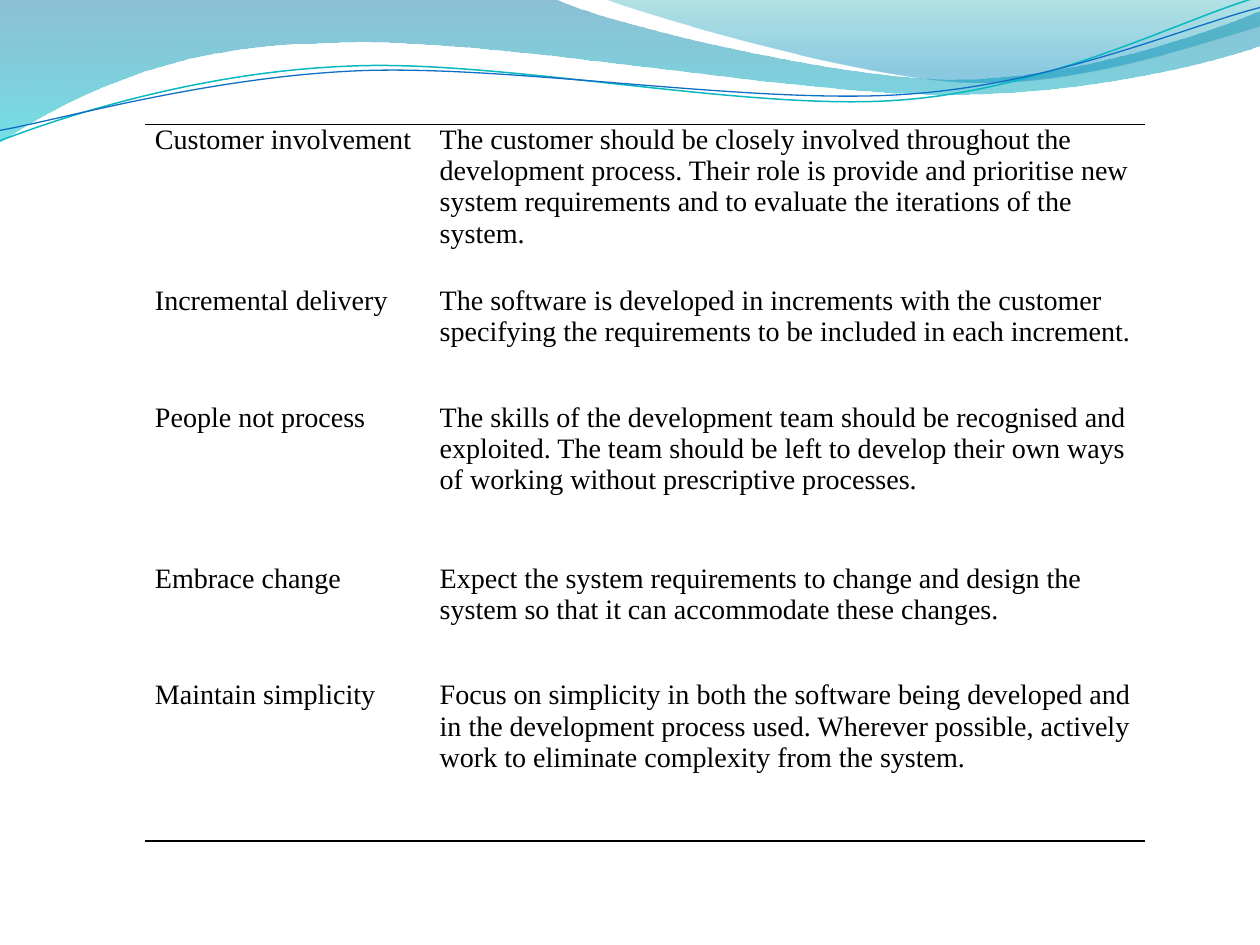
from dataclasses import dataclass
from math import cos, radians, sin
from typing import Optional

from lxml.etree import SubElement
from pptx import Presentation
from pptx.dml.color import RGBColor
from pptx.oxml import parse_xml
from pptx.oxml.ns import nsdecls, qn
from pptx.util import Inches, Pt

BLACK = RGBColor(0x00, 0x00, 0x00)
OCEAN = RGBColor(0x00, 0x74, 0xA1)
AQUA = RGBColor(0x00, 0xC6, 0xCF)
TEAL = RGBColor(0x00, 0xA1, 0xA9)
SKY = RGBColor(0x00, 0x8B, 0xBF)
TURQUOISE = RGBColor(0x0A, 0xB8, 0xBF)
BLUE = RGBColor(0x0F, 0x6F, 0xC6)

W, H = Inches(9.96), Inches(7.47)
FONT = "Times New Roman"
NO_GRID = "{2D5ABB26-0587-4C30-8999-92F81FD0307C}"
TILT = -2.7


@dataclass
class Stop:
    position: float
    color: RGBColor
    opacity: int


@dataclass
class Wave:
    start: tuple
    segments: list
    stops: Optional[list] = None
    line: Optional[RGBColor] = None
    width: float = 0
    center: Optional[tuple] = None


@dataclass
class Principle:
    name: str
    description: str
    height: float


WAVES = [
    Wave((0, 0), [
        (44, -0.1),
        (47.6, 2.3, 66.4, 8.4, 75.8, 8.4),
        (85.3, 8.4, 95.8, 3.5, 100, 1.2),
        (100.1, 4.8),
        (98.3, 5.9, 86.9, 10.2, 74.6, 10),
        (62.1, 10, 38.2, 3.7, 25.7, 4.6),
        (13, 4.7, 4.6, 11.1, -0.1, 15.1),
    ], stops=[Stop(0, OCEAN, 45), Stop(1, AQUA, 55)]),
    Wave((47.9, -0.1), [
        (50.9, 1.5, 68.2, 8.3, 76.9, 8.7),
        (85.5, 9.2, 96.1, 4.3, 100, 2.8),
        (100, 0),
    ], stops=[Stop(0, TEAL, 30), Stop(0.8, SKY, 45)]),
    Wave((0, 14.9), [
        (4.8, 12.4, 15.8, 7.6, 27.6, 7),
        (39.6, 6.2, 59.2, 11.8, 71.3, 10.6),
        (83.2, 9.5, 93.8, 2, 99.8, -0.3),
    ], line=TURQUOISE, width=0.85, center=(49.9, 7.7)),
    Wave((0, 13.8), [
        (4.7, 12.7, 16.4, 8.2, 28.3, 7.5),
        (40.3, 6.8, 59.7, 11.1, 71.7, 10),
        (83.6, 9, 94.1, 2.8, 100, 0.8),
    ], line=BLUE, width=0.75, center=(49.95, 7.9)),
]

TALL, SHORT = 17.05, 12.35
PRINCIPLES = [
    Principle("Customer involvement", "The customer should be closely involved throughout the development process. Their role is provide and prioritise new system requirements and to evaluate the iterations of the system.", TALL),
    Principle("Incremental delivery", "The software is developed in increments with the customer specifying the requirements to be included in each increment.", SHORT),
    Principle("People not process", "The skills of the development team should be recognised and exploited. The team should be left to develop their own ways of working without prescriptive processes.", TALL),
    Principle("Embrace change", "Expect the system requirements to change and design the system so that it can accommodate these changes.", SHORT),
    Principle("Maintain simplicity", "Focus on simplicity in both the software being developed and in the development process used. Wherever possible, actively work to eliminate complexity from the system.", TALL),
]
COLUMNS = (22.6, 56.8)
TABLE_LEFT, TABLE_TOP = 11.5, 13.15


def across(percent: float) -> int:
    return round(W * percent / 100)


def down(percent: float) -> int:
    return round(H * percent / 100)


def level(point: tuple, center: tuple) -> tuple:
    dx, dy = point[0] - center[0], point[1] - center[1]
    angle = radians(-TILT)
    return (round(center[0] + dx * cos(angle) - dy * sin(angle)),
            round(center[1] + dx * sin(angle) + dy * cos(angle)))


def outline(wave: Wave) -> list:
    values = [value for segment in (wave.start, *wave.segments) for value in segment]
    points = [(across(x), down(y)) for x, y in zip(values[::2], values[1::2])]
    if wave.center is None:
        return points
    center = across(wave.center[0]), down(wave.center[1])
    return [level(point, center) for point in points]


def bend(sp, segments: list) -> None:
    lines = iter(list(sp.element.iter(qn("a:lnTo"))))
    for segment in segments:
        first = next(lines)
        if len(segment) == 2:
            continue
        curve = parse_xml(f'<a:cubicBezTo {nsdecls("a")}/>')
        first.addprevious(curve)
        for line in (first, next(lines), next(lines)):
            curve.append(line[0])
            line.getparent().remove(line)


def add_wave(s, wave: Wave) -> None:
    points = outline(wave)
    builder = s.shapes.build_freeform(*points[0], scale=1.0)
    builder.add_line_segments(points[1:], close=wave.stops is not None)
    sp = builder.convert_to_shape()
    bend(sp, wave.segments)
    sp.shadow.inherit = False
    if wave.stops is None:
        sp.rotation = TILT
        sp.fill.background()
        sp.line.color.rgb = wave.line
        sp.line.width = Pt(wave.width)
        return
    sp.line.fill.background()
    sp.fill.gradient()
    sp.fill.gradient_angle = 270
    for gradient_stop, stop in zip(sp.fill.gradient_stops, wave.stops):
        gradient_stop.position = stop.position
        gradient_stop.color.rgb = stop.color
    for color, stop in zip(sp.element.spPr.iter(qn("a:srgbClr")), wave.stops):
        SubElement(color, qn("a:alpha"), val=str(stop.opacity * 1000))


def add_border(cell, side: str) -> None:
    cell._tc.get_or_add_tcPr().insert(0, parse_xml(
        f'<a:{side} {nsdecls("a")} w="{Pt(1)}"><a:solidFill>'
        f'<a:srgbClr val="{BLACK}"/></a:solidFill></a:{side}>'))


def fill_cell(cell, text: str) -> None:
    cell.fill.background()
    cell.margin_left = cell.margin_right = Inches(0.08)
    cell.margin_top, cell.margin_bottom = 0, Inches(0.1)
    p = cell.text_frame.paragraphs[0]
    p.text = text
    r = p.runs[0]
    r.font.name, r.font.size = FONT, Pt(16)
    r.font.color.rgb = BLACK


def add_principles(s) -> None:
    height = sum(principle.height for principle in PRINCIPLES)
    frame = s.shapes.add_table(
        len(PRINCIPLES), len(COLUMNS), across(TABLE_LEFT), down(TABLE_TOP),
        across(sum(COLUMNS)), down(height))
    next(frame.element.iter(qn("a:tableStyleId"))).text = NO_GRID
    table = frame.table
    table.first_row = table.horz_banding = False
    for column, width in zip(table.columns, COLUMNS):
        column.width = across(width)
    for row, principle in zip(table.rows, PRINCIPLES):
        row.height = down(principle.height)
        for cell, text in zip(row.cells, (principle.name, principle.description)):
            fill_cell(cell, text)
    for i in range(len(COLUMNS)):
        add_border(table.cell(0, i), "lnT")
        add_border(table.cell(len(PRINCIPLES) - 1, i), "lnB")


def main() -> None:
    prs = Presentation()
    prs.slide_width, prs.slide_height = W, H
    s = prs.slides.add_slide(prs.slide_layouts[6])
    for wave in WAVES:
        add_wave(s, wave)
    add_principles(s)
    prs.save("out.pptx")


if __name__ == "__main__":
    main()
